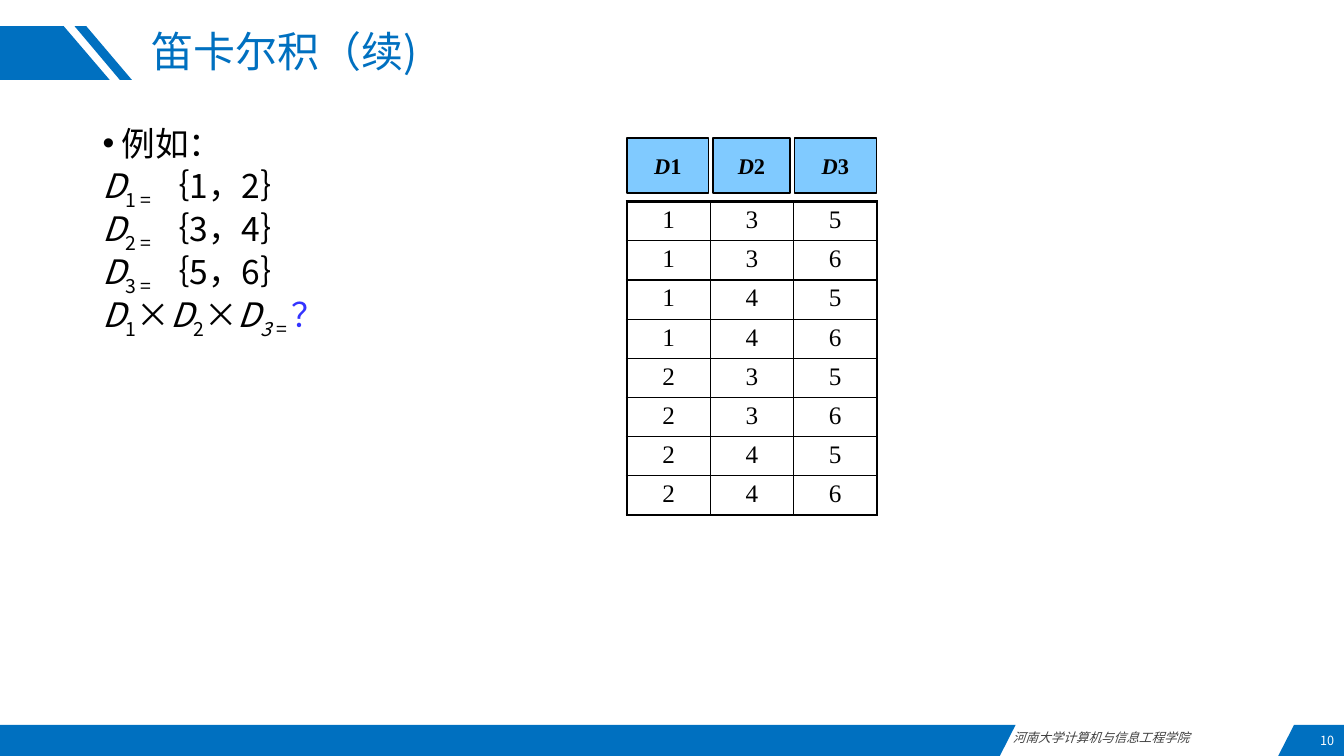
from lxml.etree import SubElement
from pptx import Presentation
from pptx.dml.color import RGBColor
from pptx.enum.shapes import MSO_SHAPE as Shape
from pptx.enum.text import MSO_ANCHOR as Anchor, PP_ALIGN as Align
from pptx.oxml.ns import qn
from pptx.util import Pt

SANS, SERIF = "Noto Sans CJK SC", "Times New Roman"
BLUE, BLACK, WHITE = "0070C0", "000000", "FFFFFF"


def color(code):
    """Turn a hex string into a colour."""
    return RGBColor.from_string(code)


def write(para, text, size=24, font=SANS, fill=BLACK, bold=False, italic=False, base=0):
    """Add one formatted span to a paragraph."""
    span = para.add_run()
    span.text = text
    span.font.size, span.font.name = Pt(size), font
    span.font.bold, span.font.italic = bold, italic
    span.font.color.rgb = color(fill)
    props = span.font._element
    SubElement(props, qn("a:ea")).set("typeface", font)
    if base:
        props.set("baseline", str(base * 1000))


def add_text(page, left, top, width, height, text, align=Align.LEFT, anchor=Anchor.TOP, **style):
    """Add a wrapping text box with one line of text."""
    frame = page.shapes.add_textbox(Pt(left), Pt(top), Pt(width), Pt(height)).text_frame
    frame.word_wrap, frame.vertical_anchor = True, anchor
    frame.paragraphs[0].alignment = align
    write(frame.paragraphs[0], text, **style)


def add_band(page, points):
    """Draw a closed blue outline through points."""
    corners = [(Pt(x), Pt(y)) for x, y in points]
    builder = page.shapes.build_freeform(*corners[0], scale=1.0)
    builder.add_line_segments(corners[1:], close=True)
    band = builder.convert_to_shape()
    band.shadow.inherit = False
    band.fill.solid()
    band.fill.fore_color.rgb = color(BLUE)
    band.line.fill.background()


def add_heading(page, left, top, width, height):
    """Draw the slanted bands and set the title beside them."""
    bottom = top + 38.4
    add_band(page, [(left, top), (left + 45.6, top), (left + 78.4, bottom), (left, bottom)])
    add_band(page, [(left + 61.7, top), (left + 94.3, bottom),
                    (left + 85.7, bottom), (left + 53.3, top)][:0] or
             [(left + 61.7, top), (left + 94.3, bottom), (left + 85.7, bottom), (left + 53.3, top)])
    title = page.shapes.title
    title.left, title.top = Pt(left + 100.8), Pt(top)
    title.width, title.height = Pt(width - 100.8), Pt(height)
    title.text_frame.vertical_anchor = Anchor.MIDDLE
    para = title.text_frame.paragraphs[0]
    para.alignment, para.line_spacing = Align.LEFT, 0.9
    write(para, "笛卡尔积（续)", size=30, fill=BLUE)


def add_footer(page, left, top, width, height):
    """Draw the footer bands, the school name and the page number."""
    right, bottom = left + width, top + height
    add_band(page, [(left, top), (left + 725.5, top), (left + 714.2, bottom), (left, bottom)])
    add_band(page, [(right - 35.6, top), (right, top), (right, bottom), (right - 47, bottom)])
    add_text(page, left + 716.4, top, 196.6, 18, "河南大学计算机与信息工程学院",
             align=Align.JUSTIFY, size=9, fill="404040", italic=True)
    add_text(page, right - 100, top + 0.7, 100, 21.6, "10", align=Align.RIGHT,
             anchor=Anchor.MIDDLE, size=9, fill=WHITE)


def add_example(page, left, top, width, height):
    """Write the three domains and the product to be found."""
    frame = page.shapes.add_textbox(Pt(left), Pt(top), Pt(width), Pt(height)).text_frame
    frame.word_wrap = True
    slanted, lowered = {"italic": True}, {"base": -25}
    lines = [[("例如：", {})]]
    for number, values in enumerate(["｛1，2｝", "｛3，4｝", "｛5，6｝"], 1):
        lines.append([("D", slanted), (f"{number} = ", lowered), (values, {})])
    lines.append([("D", slanted), ("1", lowered), ("×", {}), ("D", slanted), ("2", lowered),
                  ("×", {}), ("D", slanted), ("3 ", slanted | lowered), ("= ", lowered),
                  ("？", {"fill": "3333FF"})])
    for index, spans in enumerate(lines):
        para = frame.add_paragraph() if index else frame.paragraphs[0]
        para.line_spacing, para.space_after = 0.8, Pt(4.5)
        props = para._p.get_or_add_pPr()
        props.set("marL", str(Pt(13.5)))
        props.set("indent", str(-Pt(13.5)))
        if index:
            SubElement(props, qn("a:buNone"))
        else:
            SubElement(props, qn("a:buFont")).set("typeface", "Arial")
            SubElement(props, qn("a:buChar")).set("char", "•")
        for text, style in spans:
            write(para, text, **style)


def set_borders(cell, widths):
    """Give a cell black left, right, top and bottom borders."""
    props = cell._tc.get_or_add_tcPr()
    for place, (side, width) in enumerate(zip("LRTB", widths)):
        line = props.makeelement(qn(f"a:ln{side}"), {"w": str(Pt(width))})
        fill = SubElement(line, qn("a:solidFill"))
        SubElement(fill, qn("a:srgbClr")).set("val", BLACK)
        props.insert(place, line)


def add_product(page, left, top, width, height):
    """Draw the column heads and the table of the product."""
    for number, (shift, size) in enumerate([(0, 58.5), (61.5, 55), (119.7, 58.5)], 1):
        head = page.shapes.add_shape(Shape.RECTANGLE, Pt(left + shift), Pt(top), Pt(size), Pt(39.4))
        head.shadow.inherit = False
        head.fill.solid()
        head.fill.fore_color.rgb = color("80CAFF")
        head.line.color.rgb, head.line.width = color(BLACK), Pt(1)
        frame = head.text_frame
        frame.word_wrap, frame.vertical_anchor = False, Anchor.MIDDLE
        para = frame.paragraphs[0]
        para.alignment = Align.CENTER
        write(para, "D", size=16, font=SERIF, bold=True, italic=True)
        write(para, str(number), size=16, font=SERIF, bold=True)

    rows = [(a, b, c) for a in "12" for b in "34" for c in "56"]
    last_row, last_column = len(rows) - 1, 2
    table = page.shapes.add_table(len(rows), 3, Pt(left), Pt(top + 45.4),
                                  Pt(width), Pt(height - 45.4)).table
    table.first_row = table.horz_banding = False
    for row, values in enumerate(rows):
        table.rows[row].height = Pt((height - 45.4) / len(rows))
        for column, value in enumerate(values):
            cell = table.cell(row, column)
            cell.margin_top = cell.margin_bottom = Pt(3.2)
            cell.fill.background()
            edges = (column == 0, column == last_column, row == 0, row == last_row)
            set_borders(cell, [2.25 if edge else 1 for edge in edges])
            para = cell.text_frame.paragraphs[0]
            para.alignment = Align.CENTER
            write(para, value, size=18, font=SERIF)


def main():
    """Build the slide and save the deck."""
    deck = Presentation()
    deck.slide_width, deck.slide_height = Pt(960), Pt(540)
    page = deck.slides.add_slide(deck.slide_layouts[5])
    add_heading(page, 0, 18.7, 853.2, 40.3)
    add_footer(page, 0, 517.7, 960, 22.3)
    add_example(page, 66.2, 90, 828, 411.8)
    add_product(page, 447.8, 98.6, 178.6, 262.2)
    deck.save("out.pptx")


if __name__ == "__main__":
    main()
